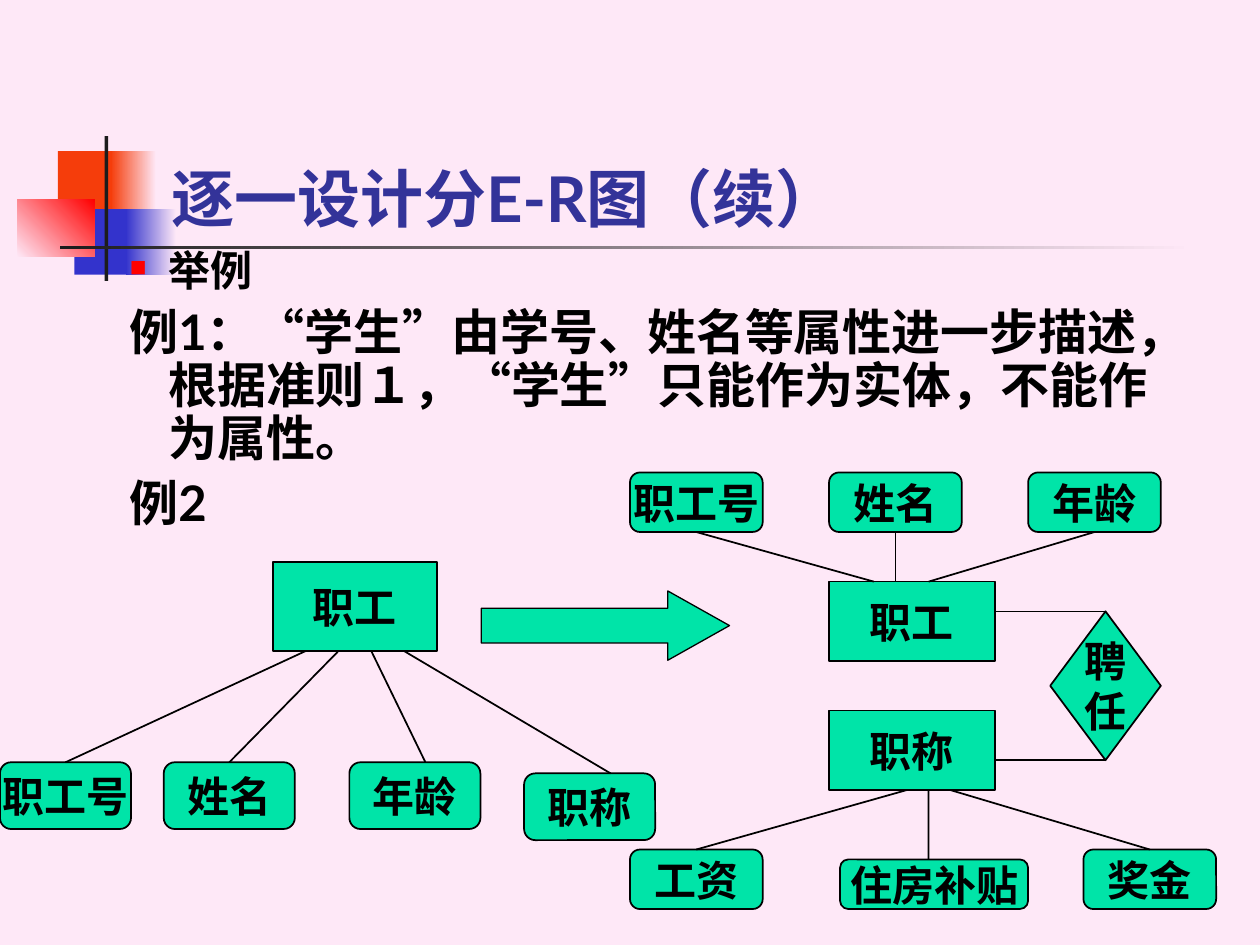
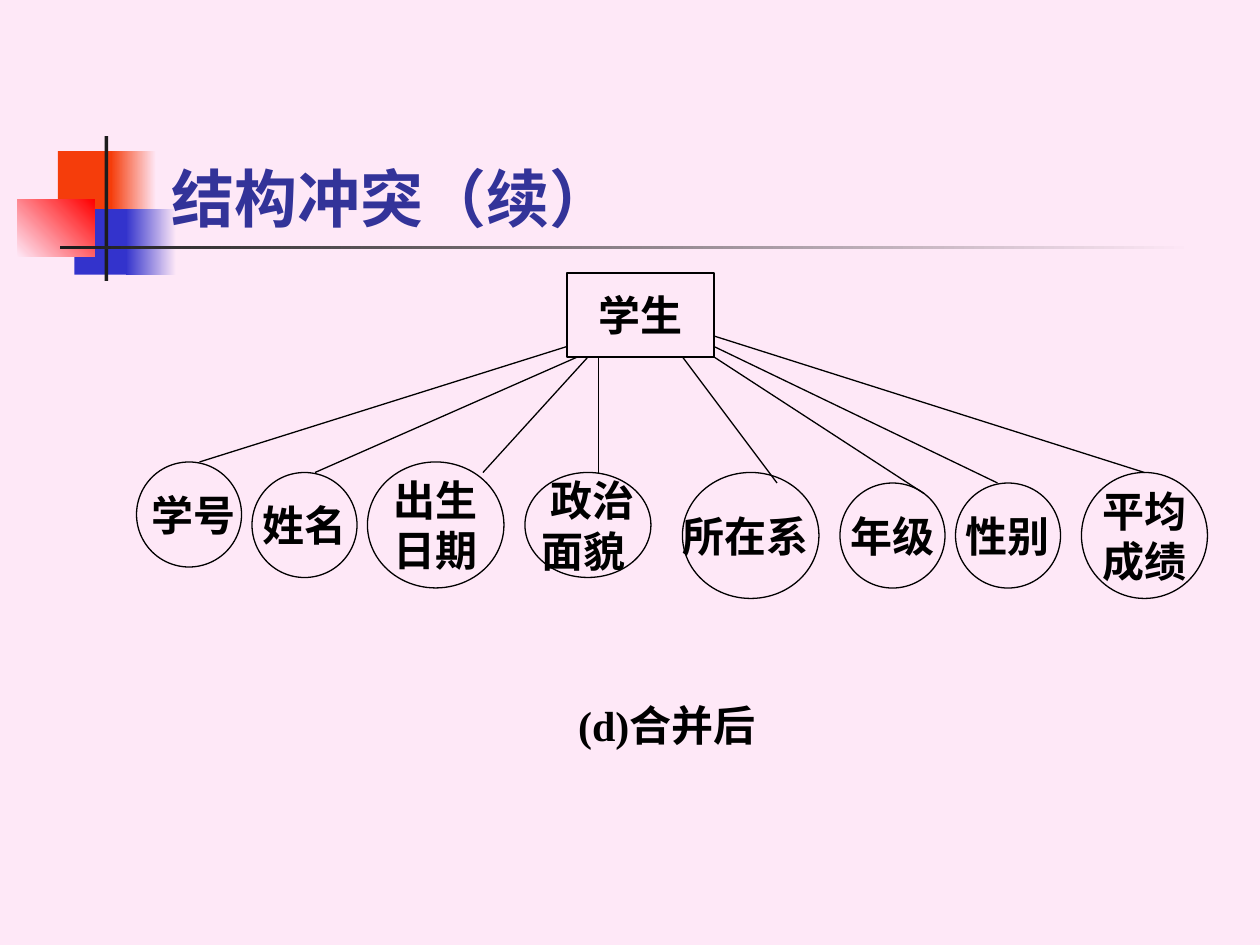
from dataclasses import dataclass

from lxml.etree import SubElement
from pptx import Presentation
from pptx.dml.color import RGBColor
from pptx.enum.shapes import MSO_CONNECTOR, MSO_SHAPE as Preset
from pptx.enum.text import MSO_ANCHOR as Anchor, MSO_AUTO_SIZE, PP_ALIGN as Align
from pptx.oxml.ns import qn
from pptx.util import Inches, Pt

COLORS = {
    "paper": "FEE8F7", "title": "333399", "ink": "000000", "node": "00E4A8",
    "orange": "F53D0B", "blue": "3333CC", "red": "FF0000", "rule": "1C1C1C",
}
HEADING_FONT, LABEL_FONT = "Lato", "Times New Roman"
TITLE_ONLY = 5
TOP, BOTTOM = 0, 2


@dataclass
class Grid:
    """Origin and cell size in inches."""
    left: float
    top: float
    column: float
    row: float

    def point(self, x, y):
        return Inches(self.left + x * self.column), Inches(self.top + y * self.row)

    def area(self, x, y, width, height):
        return *self.point(x, y), Inches(width * self.column), Inches(height * self.row)


INCHES = Grid(0, 0, 1, 1)
BEFORE = Grid(0, 4.46, 1.04 / 12, 0.53 / 6)
AFTER = Grid(5, 3.75, 3.16 / 18, 0.63 / 8)
TWELFTHS = Grid(0, 0, 1 / 12, 1 / 12)


def rgb(name):
    return RGBColor.from_string(COLORS[name])


def write(para, text, size=24, font=LABEL_FONT, color="ink", align=Align.CENTER):
    para.alignment = align
    span = para.add_run()
    span.text = text
    span.font.size = Pt(size)
    span.font.name = font
    span.font.bold = True
    span.font.color.rgb = rgb(color)


def write_lines(box, text):
    """Centre each line of a label in its own paragraph."""
    frame = box.text_frame
    frame.word_wrap = False
    frame.vertical_anchor = Anchor.MIDDLE
    for index, line in enumerate(text.split("\n")):
        write(frame.add_paragraph() if index else frame.paragraphs[0], line)


def add_node(page, area, text="", preset=Preset.RECTANGLE, fill="node", width=1):
    node = page.shapes.add_shape(preset, *area)
    node.shadow.inherit = False
    if fill:
        node.fill.solid()
        node.fill.fore_color.rgb = rgb(fill)
    else:
        node.fill.background()
    node.line.color.rgb = rgb("ink")
    node.line.width = Pt(width)
    if text:
        write_lines(node, text)
    return node


def add_line(page, start, end, width=1):
    line = page.shapes.add_connector(MSO_CONNECTOR.STRAIGHT, *start, *end)
    SubElement(line.element.spPr, qn("a:effectLst"))
    line.line.color.rgb = rgb("ink")
    line.line.width = Pt(width)
    return line


def add_spokes(page, entity, leaves, shares, side):
    """Join a side of the entity to leaves; shares run along the entity and each leaf."""
    for leaf, (entity_share, leaf_share) in zip(leaves, shares):
        start_y = entity.top + (entity.height if side == BOTTOM else 0)
        end_y = leaf.top + (leaf.height if side == TOP else 0)
        start = entity.left + int(entity.width * entity_share), start_y
        end = leaf.left + int(leaf.width * leaf_share), end_y
        line = add_line(page, start, end)
        if leaf_share == 0.5:
            line.end_connect(leaf, TOP if side == BOTTOM else BOTTOM)


def add_band(page, area, color, fade_angle=None):
    """Borderless block, plain or fading into the paper colour."""
    band = page.shapes.add_shape(Preset.RECTANGLE, *INCHES.area(*area))
    band.shadow.inherit = False
    band.line.fill.background()
    if fade_angle is None:
        band.fill.solid()
        band.fill.fore_color.rgb = rgb(color)
        return
    band.fill.gradient()
    band.fill.gradient_angle = fade_angle
    for stop, name in zip(band.fill.gradient_stops, ("paper", color)):
        stop.color.rgb = rgb(name)


def add_page(deck, heading):
    page = deck.slides.add_slide(deck.slide_layouts[TITLE_ONLY])
    for area, color, fade_angle in (
        ((0.46, 1.2, 0.48, 0.52), "orange", None),
        ((0.88, 1.2, 0.36, 0.52), "orange", 180),
        ((0.59, 1.66, 0.46, 0.52), "blue", None),
        ((1, 1.66, 0.4, 0.52), "blue", 180),
        ((0.14, 1.58, 0.61, 0.46), "red", 45),
        ((0.83, 1.08, 0.03, 1.15), "rule", None),
        ((0.48, 1.95, 9, 0.03), "rule", 180),
    ):
        add_band(page, area, color, fade_angle)
    title = page.shapes.title
    page.shapes.element.append(title.element)  # bring in front of the bands
    title.left, title.top, title.width, title.height = INCHES.area(1.26, 0.67, 8.52, 1.25)
    title.text_frame.auto_size = MSO_AUTO_SIZE.NONE
    title.text_frame.vertical_anchor = Anchor.BOTTOM
    write(title.text_frame.paragraphs[0], heading, size=36, font=HEADING_FONT,
          color="title", align=Align.LEFT)
    return page


def add_bullet(para):
    props = para._p.get_or_add_pPr()
    color = SubElement(props, qn("a:buClr"))
    SubElement(color, qn("a:srgbClr"), val=COLORS["red"])
    SubElement(props, qn("a:buSzPct"), val="55000")
    SubElement(props, qn("a:buChar"), char="■")


def add_body(page, items):
    frame = page.shapes.add_textbox(*INCHES.area(0.43, 1.94, 9.06, 2.36)).text_frame
    frame.word_wrap = True
    for index, (text, size, space, bulleted) in enumerate(items):
        para = frame.add_paragraph() if index else frame.paragraphs[0]
        write(para, text, size=size, font=HEADING_FONT, align=Align.LEFT)
        para.line_spacing = 0.9
        para.space_before = Pt(space)
        props = para._p.get_or_add_pPr()
        props.set("marL", str(Inches(0.81)))
        props.set("indent", str(Inches(-0.31)))
        if bulleted:
            add_bullet(para)


def add_leaves(page, grid, cells):
    return [add_node(page, grid.area(*cell), text, Preset.ROUNDED_RECTANGLE)
            for text, cell in cells]


def draw_before(page):
    """Employee with the job title as an attribute."""
    employee = add_node(page, BEFORE.area(25, 0, 15, 8), "职工")
    leaves = add_leaves(page, BEFORE, (
        ("职工号", (0, 18, 12, 6)), ("姓名", (15, 18, 12, 6)),
        ("年龄", (32, 18, 12, 6)), ("职称", (48, 19, 12, 6))))
    add_spokes(page, employee, leaves,
               ((0.2, 0.5), (0.4, 0.5), (0.6, 0.58), (0.8, 0.66)), BOTTOM)


def draw_after(page):
    """Employee and job title as two entities with a relationship."""
    employee = add_node(page, AFTER.area(9, 11, 7.5, 8), "职工")
    job_title = add_node(page, AFTER.area(9, 24, 7.5, 8), "职称")
    upper = add_leaves(page, AFTER, [
        (text, (9 * index, 0, 6, 6))
        for index, text in enumerate(("职工号", "姓名", "年龄"))])
    lower = add_leaves(page, AFTER, (
        ("工资", (0, 38, 6, 6)), ("住房补贴", (9.5, 39, 8.5, 5)),
        ("奖金", (20.5, 38, 6, 6))))
    add_spokes(page, employee, upper, ((0.27, 0.5), (0.4, 0.5), (0.6, 0.5)), TOP)
    add_spokes(page, job_title, lower, ((0.47, 0.5), (0.6, 0.47), (0.73, 0.5)), BOTTOM)

    hiring = add_node(page, AFTER.area(19, 14, 5, 15), "聘\n任", Preset.DIAMOND)
    for row, site in ((14, TOP), (29, BOTTOM)):
        line = add_line(page, AFTER.point(16.5, row), AFTER.point(21.5, row))
        line.end_connect(hiring, site)


def draw_student(page):
    """Merged student entity; every place is in twelfths of an inch."""
    add_node(page, TWELFTHS.area(54, 26, 14, 8), "学生", fill=None, width=0.75)
    for text, cell, start, end in (
        (" 学号", (13, 44, 10, 10), (54, 33), (19, 44)),
        ("姓名", (24, 45, 10, 10), (55, 34), (30, 45)),
        ("出生\n日期", (35, 44, 13, 12), (56, 34), (46, 45)),
        (" 政治\n面貌 ", (50, 45, 12, 10), (57, 34), (57, 45)),
        ("所在系 ", (65, 45, 13, 12), (65, 34), (74, 46)),
        ("年级", (80, 46, 10, 10), (68, 34), (88, 47)),
        ("性别", (91, 46, 10, 10), (68, 33), (95, 46)),
        ("平均\n成绩", (103, 45, 12, 12), (68, 32), (109, 45)),
    ):
        attribute = add_node(page, TWELFTHS.area(*cell), text, Preset.OVAL,
                             fill=None, width=0.75)
        line = add_line(page, TWELFTHS.point(*start), TWELFTHS.point(*end), 0.75)
        if end == (cell[0] + cell[2] / 2, cell[1]):
            line.end_connect(attribute, TOP)
    write_lines(page.shapes.add_textbox(*TWELFTHS.area(44, 65, 39, 8)), "(d)合并后")


def main():
    deck = Presentation()
    deck.slide_width, deck.slide_height = Inches(10), Inches(7.5)
    background = deck.slide_master.background.fill
    background.solid()
    background.fore_color.rgb = rgb("paper")

    page = add_page(deck, "逐一设计分E-R图（续）")
    add_body(page, (
        ("举例", 24, 6, True),
        ("例1：“学生”由学号、姓名等属性进一步描述，根据准则１，"
         "“学生”只能作为实体，不能作为属性。", 28, 7, False),
        ("例2", 28, 7, False),
    ))
    draw_before(page)
    draw_after(page)
    arrow = add_node(page, INCHES.area(3.82, 4.69, 1.97, 0.55),
                     preset=Preset.RIGHT_ARROW, width=0.75)
    arrow.adjustments[1] = 0.89

    draw_student(add_page(deck, "结构冲突（续）"))
    deck.save("out.pptx")


if __name__ == "__main__":
    main()
